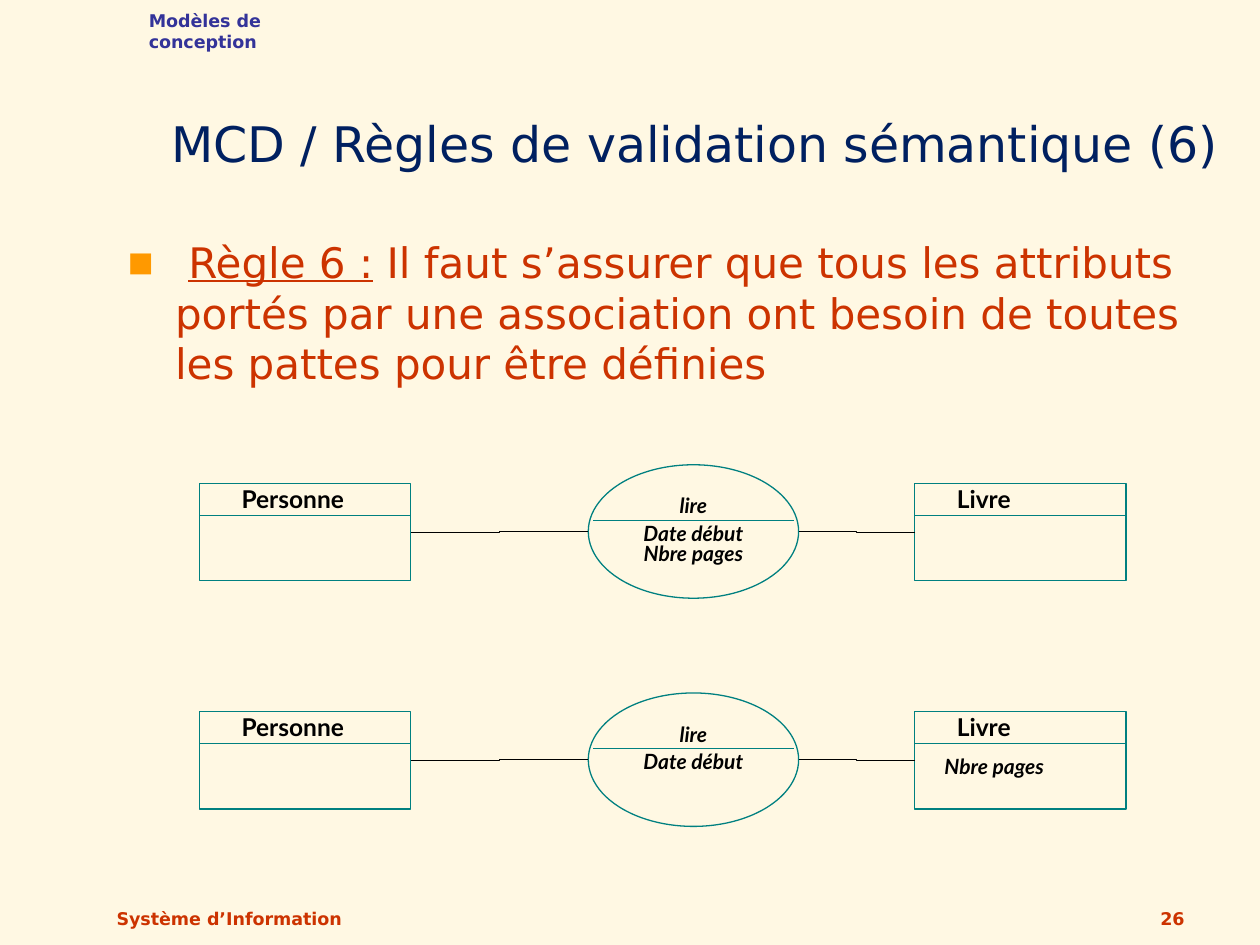
import pptx
import pptx.util
import pptx.dml.color
import pptx.enum.shapes
import pptx.enum.text
import pptx.oxml
import pptx.oxml.ns
from lxml import etree

Cm = pptx.util.Cm
Pt = pptx.util.Pt
SHAPE = pptx.enum.shapes.MSO_SHAPE
LINK = pptx.enum.shapes.MSO_CONNECTOR
ANCHOR = pptx.enum.text.MSO_ANCHOR
ALIGN = pptx.enum.text.PP_ALIGN

HEAD = "Modèles de\vconception"
TITLE = "MCD / Règles de validation sémantique (6)"
RULE = [
    (" ", {}),
    ("Règle 6 :", {"under": True}),
    (" Il faut s’assurer que tous les attributs portés par une association "
     "ont besoin de toutes les pattes pour être définies", {}),
]
FOOT = "Système d’Information"
PAGE = "26"
MODELS = [
    {"left": "Personne", "link": "lire", "data": ["Date début", "Nbre pages"],
     "right": "Livre", "field": ""},
    {"left": "Personne", "link": "lire", "data": ["Date début"],
     "right": "Livre", "field": "Nbre pages"},
]

THEME = {
    "back": "FFF8E3", "title": "002060", "rule": "CC3300", "head": "333399",
    "mark": "FF9900", "edge": "008080", "ink": "000000",
    "main": "DejaVu Sans", "draw": "Lato",
    "big": 28, "body": 24, "name": 14, "data": 12, "small": 10, "line": 0.75,
}

TOP, STEP = 9.75, 4.6
LEFT, RIGHT = 4.02, 18.44
BOX_W, BOX_H, BAR = 4.26, 1.96, 0.64
OVAL_X, OVAL_W, OVAL_H = 11.86, 4.24, 2.69
OVAL_UP, OVAL_BAR, INSET = 0.38, 0.74, 0.1


def tint(name):
    return pptx.dml.color.RGBColor.from_string(THEME[name])


def write(frame, paras, size="small", color="ink", font="main", bold=False,
          ital=False, align=ALIGN.LEFT, anchor=ANCHOR.TOP, wrap=True, space=()):
    frame.word_wrap = wrap
    frame.auto_size = pptx.enum.text.MSO_AUTO_SIZE.NONE
    frame.vertical_anchor = anchor
    for n, parts in enumerate(paras):
        para = frame.paragraphs[0] if n == 0 else frame.add_paragraph()
        para.alignment = align
        if space:
            para.line_spacing = space[n]
        for text, form in [(parts, {})] if isinstance(parts, str) else parts:
            start = len(para.runs)
            for k, piece in enumerate(text.split("\v")):
                if k:
                    para.add_line_break()
                para.add_run().text = piece
            for run in para.runs[start:]:
                run.font.name = THEME[font]
                run.font.size = Pt(THEME[size])
                run.font.color.rgb = tint(color)
                run.font.bold = bold
                run.font.italic = ital
                run.font.underline = form.get("under", False)


def place(item, x, y, w, h):
    item.left, item.top, item.width, item.height = Cm(x), Cm(y), Cm(w), Cm(h)


def label(slide, x, y, w, h, paras, **form):
    box = slide.shapes.add_textbox(Cm(x), Cm(y), Cm(w), Cm(h))
    write(box.text_frame, paras, **form)
    return box


def outline(slide, kind, x, y, w, h):
    item = slide.shapes.add_shape(kind, Cm(x), Cm(y), Cm(w), Cm(h))
    item.shadow.inherit = False
    item.fill.background()
    item.line.color.rgb = tint("edge")
    item.line.width = Pt(THEME["line"])
    return item


def join(slide, x1, y1, x2, y2, color="edge", kind=LINK.STRAIGHT):
    line = slide.shapes.add_connector(kind, Cm(x1), Cm(y1), Cm(x2), Cm(y2))
    line.line.color.rgb = tint(color)
    line.line.width = Pt(THEME["line"])
    etree.SubElement(line.element.spPr, pptx.oxml.ns.qn("a:effectLst"))


def bullet(para):
    props = para._p.get_or_add_pPr()
    props.set("marL", str(Cm(0.95)))
    props.set("indent", str(Cm(-0.95)))
    space = pptx.oxml.ns.nsdecls("a")
    for part in (
        f'<a:buClr {space}><a:srgbClr val="{THEME["mark"]}"/></a:buClr>',
        f'<a:buSzPct {space} val="65000"/>',
        f'<a:buFont {space} typeface="{THEME["main"]}"/>',
        f'<a:buChar {space} char="■"/>',
    ):
        props.append(pptx.oxml.parse_xml(part))


def entity(slide, x, y, name, field=""):
    outline(slide, SHAPE.RECTANGLE, x, y, BOX_W, BOX_H)
    join(slide, x, y + BAR, x + BOX_W, y + BAR)
    label(slide, x + 0.6, y - 0.18, 2.84, 0.91, [name], size="name",
          font="draw", bold=True, wrap=False, space=[1.1])
    if field:
        label(slide, x + 0.35, y + 0.71, 2.92, 0.76, [field], size="data",
              font="draw", bold=True, ital=True, wrap=False)


def model(slide, y, data):
    entity(slide, LEFT, y, data["left"])
    entity(slide, RIGHT, y, data["right"], data["field"])
    top = y - OVAL_UP
    oval = outline(slide, SHAPE.OVAL, OVAL_X, top, OVAL_W, OVAL_H)
    write(oval.text_frame, [data["link"]] + data["data"], size="data",
          font="draw", bold=True, ital=True, align=ALIGN.CENTER,
          space=[1.1, 1.1, 0.8])
    end = OVAL_X + OVAL_W
    join(slide, OVAL_X + INSET, y + OVAL_BAR, end - INSET, y + OVAL_BAR)
    mid, side = top + OVAL_H / 2, y + BOX_H / 2
    join(slide, OVAL_X, mid, LEFT + BOX_W, side, "ink", LINK.ELBOW)
    join(slide, end, mid, RIGHT, side, "ink", LINK.ELBOW)


def main():
    deck = pptx.Presentation()
    deck.slide_width, deck.slide_height = Cm(25.4), Cm(19.05)
    slide = deck.slides.add_slide(deck.slide_layouts[5])
    slide.background.fill.solid()
    slide.background.fill.fore_color.rgb = tint("back")

    title = slide.shapes.title
    place(title, 3.2, 0.43, 22.2, 3.18)
    write(title.text_frame, [TITLE], size="big", color="title",
          anchor=ANCHOR.BOTTOM)
    label(slide, 2.75, 0.08, 5, 0.95, [HEAD], color="head", bold=True,
          wrap=False)
    rule = label(slide, 2.33, 4.65, 23.07, 2.54, [RULE], size="body",
                 color="rule")
    bullet(rule.text_frame.paragraphs[0])

    for n, data in enumerate(MODELS):
        model(slide, TOP + n * STEP, data)

    foot = {"color": "rule", "bold": True, "anchor": ANCHOR.BOTTOM}
    label(slide, 2.1, 17.58, 8.05, 1.27, [FOOT], **foot)
    label(slide, 18.85, 17.58, 5.28, 1.27, [PAGE], align=ALIGN.RIGHT, **foot)
    deck.save("out.pptx")


if __name__ == "__main__":
    main()
